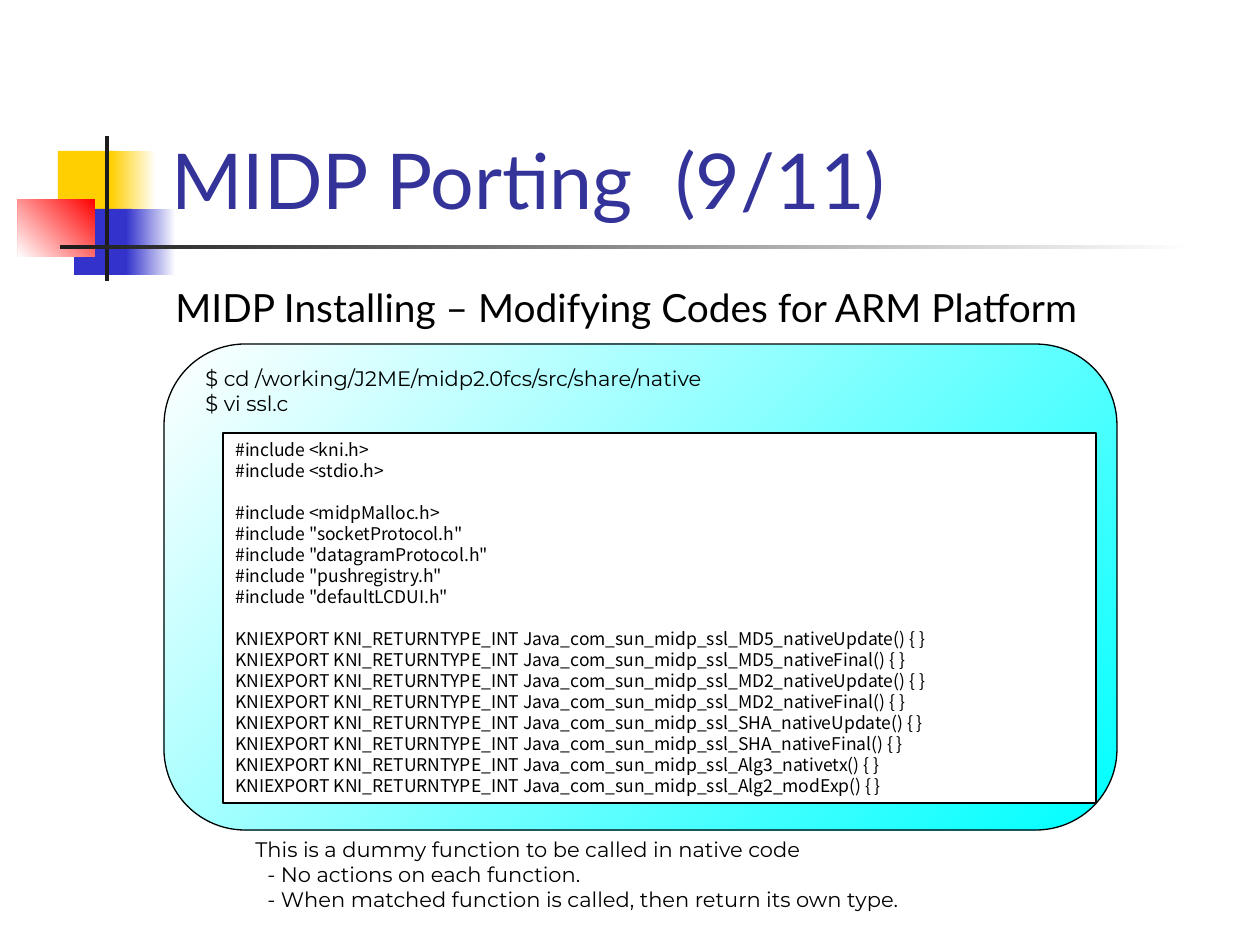
from typing import NamedTuple

from lxml import etree
from pptx import Presentation
from pptx.dml.color import RGBColor
from pptx.enum.shapes import MSO_SHAPE
from pptx.enum.text import MSO_ANCHOR, PP_ALIGN
from pptx.oxml.ns import qn
from pptx.util import Emu, Pt

RECT = MSO_SHAPE.RECTANGLE
ROUND = MSO_SHAPE.ROUNDED_RECTANGLE
TOP, BOTTOM = MSO_ANCHOR.TOP, MSO_ANCHOR.BOTTOM
LEFT = PP_ALIGN.LEFT
SCALE = 914400 / 126  # EMU in one px


class Box(NamedTuple):
    x: int
    y: int
    w: int
    h: int


class Fade(NamedTuple):
    start: str
    end: str
    angle: int  # clockwise degrees


class Block(NamedTuple):
    box: Box
    fill: str | Fade


class Style(NamedTuple):
    font: str
    size: float
    color: str = "000000"


def px(n: int) -> Emu:
    return Emu(round(n * SCALE))


def rgb(code: str) -> RGBColor:
    return RGBColor.from_string(code)


def paint(shape, fill: str | Fade) -> None:
    if isinstance(fill, str):
        shape.fill.solid()
        shape.fill.fore_color.rgb = rgb(fill)
        return
    shape.fill.gradient()
    shape.fill.gradient_angle = 360 - fill.angle
    for stop, code in zip(shape.fill.gradient_stops, (fill.start, fill.end)):
        stop.color.rgb = rgb(code)


def draw(slide, block: Block, kind=RECT, line: str = ""):
    shape = slide.shapes.add_shape(kind, *map(px, block.box))
    shape.shadow.inherit = False
    paint(shape, block.fill)
    if line:
        shape.line.color.rgb = rgb(line)
        shape.line.width = Pt(0.75)
    else:
        shape.line.fill.background()
    return shape


def write(shape, lines: list[str], style: Style, anchor=TOP) -> list:
    frame = shape.text_frame
    frame.word_wrap = True
    frame.vertical_anchor = anchor
    frame.text = "\n".join(lines)
    for para in frame.paragraphs:
        para.alignment = LEFT
    return [dress(para, style) for para in frame.paragraphs]


def dress(para, style: Style):
    para.font.name = style.font
    para.font.size = Pt(style.size)
    para.font.color.rgb = rgb(style.color)
    return para


def label(slide, box: Box, lines: list[str], style: Style, anchor=TOP) -> list:
    return write(slide.shapes.add_textbox(*map(px, box)), lines, style, anchor)


def add_tab(para, pos: int) -> None:
    tabs = etree.Element(qn("a:tabLst"))
    etree.SubElement(tabs, qn("a:tab"), pos=str(px(pos)), algn="l")
    para._p.get_or_add_pPr().insert(0, tabs)


def add_bullet(para, char: str, code: str, size: int, indent: int) -> None:
    props = para._p.get_or_add_pPr()
    props.set("marL", str(px(indent)))
    props.set("indent", str(-px(indent)))
    color = etree.Element(qn("a:buClr"))
    etree.SubElement(color, qn("a:srgbClr"), val=code)
    scale = etree.Element(qn("a:buSzPct"), val=str(size * 1000))
    mark = etree.Element(qn("a:buChar"), char=char)
    for spot, part in enumerate((color, scale, mark)):
        props.insert(spot, part)


TITLE = Style("Lato", 44, "333399")
HEAD = Style("Lato", 22.2)
NOTE = Style("Montserrat", 12)
CODE = Style("Noto Sans CJK KR", 10)

DECOR = [
    Block(Box(58, 151, 60, 66), "FFCF01"),
    Block(Box(111, 151, 45, 66), Fade("FFFFFF", "FFCF01", 180)),
    Block(Box(74, 209, 58, 66), "3333CC"),
    Block(Box(126, 209, 50, 66), Fade("FFFFFF", "3333CC", 180)),
    Block(Box(18, 199, 77, 58), Fade("FF0000", "FFFFFF", 135)),
    Block(Box(105, 136, 4, 145), "1C1C1C"),
    Block(Box(60, 245, 1134, 4), Fade("FFFFFF", "1C1C1C", 180)),
]
PANEL = Block(Box(164, 344, 953, 486), Fade("00FFFF", "FFFFFF", 225))
SHEET = Block(Box(223, 433, 873, 370), "FFFFFF")

SYSTEM = ["kni.h", "stdio.h"]
LOCAL = ["socketProtocol.h", "datagramProtocol.h", "pushregistry.h", "defaultLCDUI.h"]
STUBS = [
    "MD5_nativeUpdate", "MD5_nativeFinal", "MD2_nativeUpdate", "MD2_nativeFinal",
    "SHA_nativeUpdate", "SHA_nativeFinal", "Alg3_nativetx", "Alg2_modExp",
]
GROUPS = [
    [f"#include <{name}>" for name in SYSTEM],
    ["#include <midpMalloc.h>"] + [f'#include "{name}"' for name in LOCAL],
    [f"KNIEXPORT KNI_RETURNTYPE_INT Java_com_sun_midp_ssl_{name}() {{ }}"
     for name in STUBS],
]


def main() -> None:
    deck = Presentation()
    deck.slide_width, deck.slide_height = px(1260), px(945)
    slide = deck.slides.add_slide(deck.slide_layouts[6])

    # Corner squares and rules
    for block in DECOR:
        draw(slide, block)

    # Title, with the page count on a tab stop
    box = slide.shapes.add_textbox(*map(px, Box(159, 29, 1074, 202)))
    box.text_frame.text = "MIDP Porting\t(9/11)"
    add_tab(box.text_frame.paragraphs[0], 496)
    write(box, ["MIDP Porting\t(9/11)"], TITLE, BOTTOM)

    # Heading
    box = slide.shapes.add_textbox(*map(px, Box(163, 278, 1071, 60)))
    add_bullet(box.text_frame.paragraphs[0], "■", "3333CC", 60, 48)
    write(box, ["MIDP Installing – Modifying Codes for ARM Platform"], HEAD)

    # Shell commands on the panel
    draw(slide, PANEL, ROUND, "000000")
    label(slide, Box(193, 359, 912, 66),
          ["$ cd /working/J2ME/midp2.0fcs/src/share/native", "$ vi ssl.c"], NOTE)

    # Code sheet: one line of space before each later group
    sheet = draw(slide, SHEET, line="000000")
    paras = write(sheet, [text for group in GROUPS for text in group], CODE)
    for para in paras:
        para.line_spacing = Pt(12)
    first = 0
    for group in GROUPS[:-1]:
        first += len(group)
        paras[first].space_before = Pt(12)

    # Remark below the panel
    remark = label(slide, Box(243, 830, 735, 88), [
        "This is a dummy function to be called in native code",
        "- No actions on each function.",
        "- When matched function is called, then return its own type.",
    ], NOTE)
    for para in remark[1:]:
        para._p.get_or_add_pPr().set("marL", str(px(12)))

    deck.save("out.pptx")


if __name__ == "__main__":
    main()
